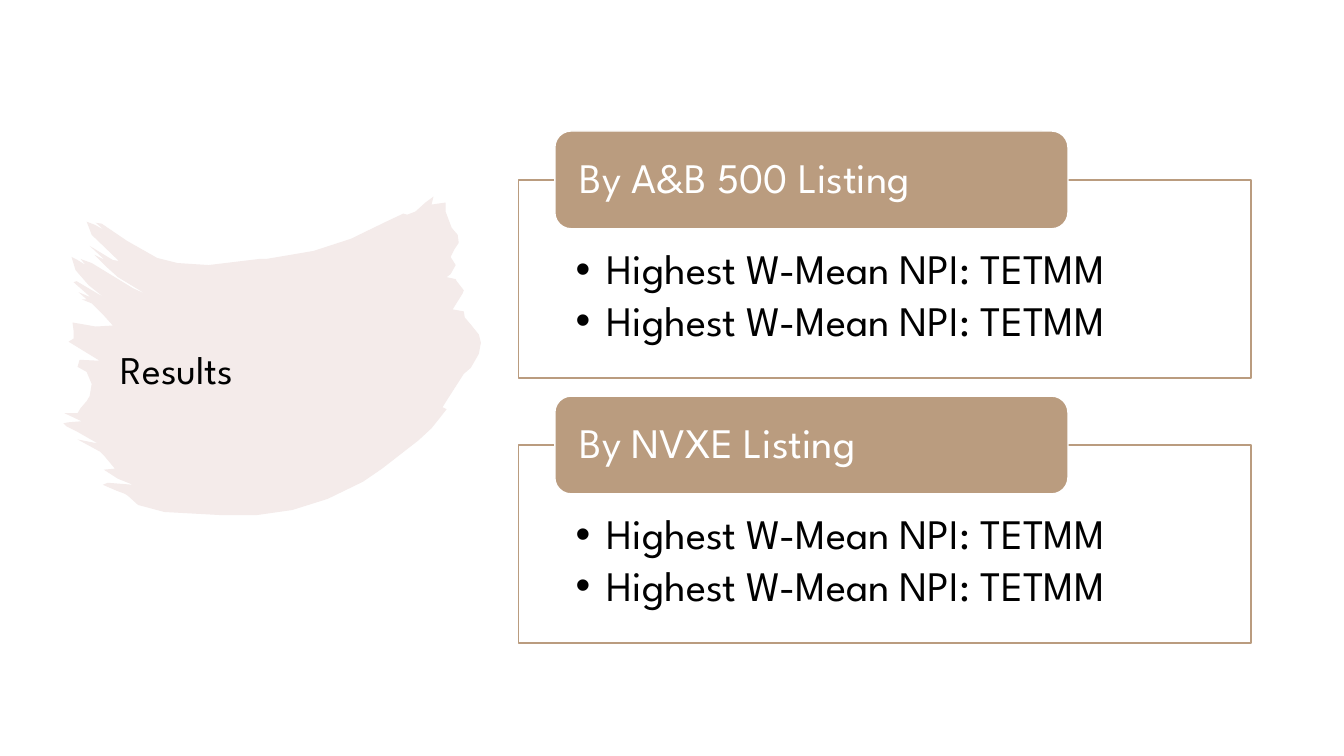
from lxml import etree
from pptx import Presentation
from pptx import util as u
from pptx.dml.color import RGBColor
from pptx.enum import shapes, text
from pptx.oxml.ns import qn

FONT = "League Spartan"
TAN = RGBColor(0xBA, 0x9C, 0x7F)
ROSE = RGBColor(0xF4, 0xEB, 0xEA)
WHITE = RGBColor(0xFF, 0xFF, 0xFF)
BLACK = RGBColor(0, 0, 0)

BRUSH_RIGHT = [
    (367, 0), (365, 8), (379, 6), (379, 15), (385, 31), (391, 38), (392, 46),
    (388, 52), (384, 60), (389, 68), (384, 77), (380, 80), (389, 82), (390, 84),
    (397, 93), (396, 96), (386, 112), (397, 114), (398, 120), (404, 127),
    (412, 137), (414, 145), (412, 156), (404, 170), (397, 176), (381, 201),
    (376, 209), (380, 211), (373, 220), (365, 230)]
BRUSH_BOTTOM = [
    (352, 242), (316, 270), (297, 283), (262, 300), (227, 311), (192, 316),
    (155, 316), (100, 313), (74, 306), (64, 297), (61, 295), (53, 292)]
BRUSH_LEFT = [
    (39, 286), (44, 284), (69, 286), (54, 280), (40, 271), (51, 270), (41, 258),
    (36, 253), (14, 241), (34, 245), (13, 233), (3, 228), (0, 225), (5, 224),
    (18, 223), (1, 215), (14, 215), (17, 210), (23, 203), (26, 198), (28, 186),
    (23, 174), (14, 169), (16, 162), (36, 163), (5, 144), (10, 141), (10, 133),
    (9, 125), (32, 129), (49, 128), (40, 118), (34, 112), (28, 106), (18, 102),
    (23, 102), (15, 95), (27, 100), (10, 85), (13, 84), (40, 100), (25, 88),
    (12, 73), (8, 60), (14, 63), (22, 68), (17, 62), (28, 66), (69, 91),
    (82, 97), (54, 80), (44, 71), (31, 58), (41, 63), (26, 49), (49, 63),
    (55, 64), (28, 38), (23, 25), (31, 28), (40, 33), (32, 26), (38, 27)]
BRUSH_TOP = [
    (63, 44), (93, 61), (113, 66), (144, 68), (194, 62), (201, 62), (248, 54),
    (285, 42), (320, 25), (337, 17), (341, 18), (349, 15), (359, 6)]

PANELS = [("By A&B 500 Listing", ["Highest W-Mean NPI: TETMM"] * 2),
          ("By NVXE Listing", ["Highest W-Mean NPI: TETMM"] * 2)]


def set_attrs(obj, **values):
    """Set every given attribute on an object."""
    for name, value in values.items():
        setattr(obj, name, value)


def paint(sp, fill, line=None, opacity=100):
    """Give a shape a flat fill and an optional one-point line."""
    sp.shadow.inherit = False
    sp.fill.solid()
    sp.fill.fore_color.rgb = fill
    if opacity < 100:
        color = sp.element.spPr.find(qn("a:solidFill"))[0]
        etree.SubElement(color, qn("a:alpha"), val=str(opacity * 1000))
    if line is None:
        sp.line.fill.background()
    else:
        sp.line.color.rgb = line
        sp.line.width = u.Pt(1)


def write(sp, lines, size, color, anchor, insets, space_after=0, bullet=False):
    """Fill a shape with left-aligned paragraphs."""
    tf = sp.text_frame
    left, top, right, bottom = map(u.Inches, insets)
    set_attrs(tf, word_wrap=True, auto_size=text.MSO_AUTO_SIZE.NONE,
              vertical_anchor=anchor, margin_left=left, margin_top=top,
              margin_right=right, margin_bottom=bottom)
    for i, line in enumerate(lines):
        p = tf.paragraphs[0] if i == 0 else tf.add_paragraph()
        set_attrs(p, alignment=text.PP_ALIGN.LEFT, line_spacing=0.9,
                  space_before=u.Pt(0), space_after=u.Pt(space_after))
        r = p.add_run()
        r.text = line
        set_attrs(r.font, name=FONT, size=u.Pt(size))
        r.font.color.rgb = color
        if bullet:
            pPr = p._p.get_or_add_pPr()
            pPr.set("marL", str(u.Inches(0.31)))
            pPr.set("indent", str(-u.Inches(0.31)))
            etree.SubElement(pPr, qn("a:buFont"), typeface="Arial")
            etree.SubElement(pPr, qn("a:buChar"), char="•")


def add_brush(slide, left, top):
    """Draw the pale brush stroke behind the title."""
    points = BRUSH_RIGHT + BRUSH_BOTTOM + BRUSH_LEFT + BRUSH_TOP
    builder = slide.shapes.build_freeform(*points[0], scale=u.Inches(0.01))
    builder.add_line_segments(points[1:], close=True)
    sp = builder.convert_to_shape(u.Inches(left), u.Inches(top))
    paint(sp, ROSE)
    slide.shapes.title.element.addprevious(sp.element)


def add_title(slide, left, top, width, height):
    """Place the slide title over the brush stroke."""
    sp = slide.shapes.title
    set_attrs(sp, left=u.Inches(left), top=u.Inches(top),
              width=u.Inches(width), height=u.Inches(height))
    write(sp, ["Results"], 28, BLACK, text.MSO_ANCHOR.MIDDLE,
          (0.1, 0.05, 0.1, 0.05))


def add_panel(slide, heading, bullets, left, top, width, height):
    """Draw an outlined list with a heading tab across its top edge."""
    tab_height = 0.97
    body_top = top + tab_height / 2
    body = slide.shapes.add_shape(
        shapes.MSO_SHAPE.RECTANGLE, u.Inches(left), u.Inches(body_top),
        u.Inches(width), u.Inches(top + height - body_top))
    paint(body, WHITE, TAN, 90)
    write(body, bullets, 30, BLACK, text.MSO_ANCHOR.TOP,
          (0.57, 0.68, 0.56, 0.23), 4.5, True)
    tab = slide.shapes.add_shape(
        shapes.MSO_SHAPE.ROUNDED_RECTANGLE, u.Inches(left + width * 0.05),
        u.Inches(top), u.Inches(width * 0.7), u.Inches(tab_height))
    paint(tab, TAN, WHITE)
    write(tab, [heading], 30, WHITE, text.MSO_ANCHOR.MIDDLE, (0.2, 0, 0.2, 0))


def add_results_slide(prs):
    """Build the results slide with its title and two panels."""
    slide = prs.slides.add_slide(prs.slide_layouts[5])
    add_title(slide, 1.1, 2.87, 3.29, 1.64)
    add_brush(slide, 0.63, 1.95)
    for i, (heading, bullets) in enumerate(PANELS):
        add_panel(slide, heading, bullets, 5.14, 1.3 + 2.63 * i, 7.27, 2.45)


def main():
    """Create and save the presentation."""
    prs = Presentation()
    set_attrs(prs, slide_width=u.Inches(13.33), slide_height=u.Inches(7.5))
    add_results_slide(prs)
    prs.save("out.pptx")


if __name__ == "__main__":
    main()
